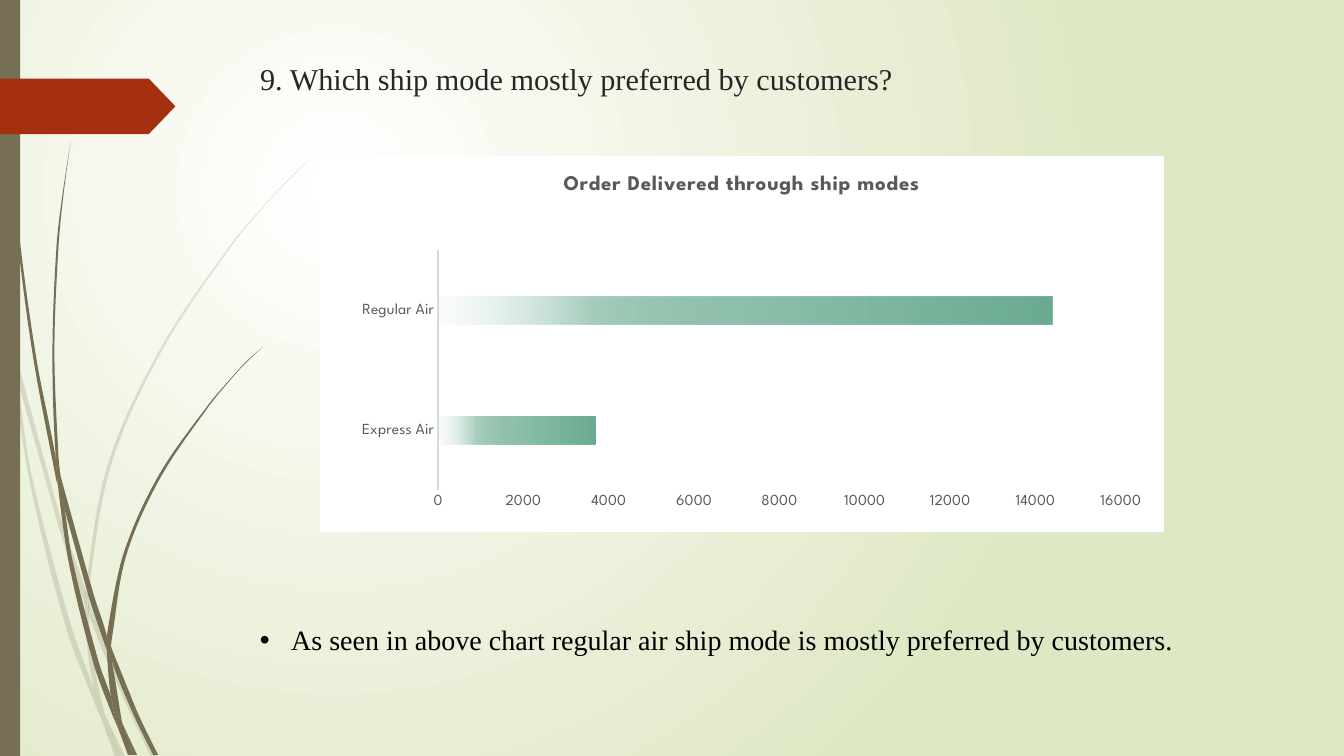
from math import cos, hypot, radians
from lxml import etree
from pptx import Presentation
from pptx.chart.data import CategoryChartData
from pptx.dml.color import RGBColor
from pptx.enum import chart as charts, shapes, text
from pptx.oxml import parse_xml
from pptx.oxml.ns import nsdecls, qn
from pptx.util import Inches, Pt

COLORS = {"olive": "766F54", "red": "A53010", "title": "262626", "black": "000000",
          "white": "FFFFFF", "sage": "DFE8C4", "label": "595959", "axis": "D9D9D9",
          "green": "6AAC91", "light": "A6CDBD", "pale": "E1EEE9"}
SERIF, SANS = "Times New Roman", "League Spartan"

# Outline knots of the grass pieces, in inches
BACK_GRASS = [
    [(.11, 3.5), (.09, 3.22), (0, 2.82), (0, 2.99), (.1, 3.44)],
    [(.58, 5.22), (.84, 5.99), (.85, 5.86), (.62, 5.2), (.14, 3.45), (.17, 3.76)],
    [(.92, 6.07), (.88, 5.96), (.88, 6.1), (1.23, 6.94), (1.5, 7.51), (1.55, 7.51), (1.27, 6.92)],
    [(1.19, 7.51), (1.24, 7.51), (1.05, 7.11)],
    [(.93, 6.83), (.7, 6.19), (.31, 4.69), (.17, 3.76), (.11, 3.5), (.28, 4.7), (.65, 6.21),
     (.92, 6.93), (1.01, 7.14), (.99, 7.07)],
    [(.84, 5.99), (.87, 6.46), (.93, 6.83), (.96, 6.92), (1.05, 7.11), (1.03, 7.06), (.91, 6.46),
     (.88, 6.1), (.88, 6.08)],
    [(.88, 5.84), (1.1, 4.62), (1.6, 3.49), (2.29, 2.45), (2.68, 1.98), (2.9, 1.75), (3.12, 1.53),
     (2.89, 1.75), (2.68, 1.97), (2.28, 2.44), (1.58, 3.48), (1.07, 4.61), (.85, 5.84), (.88, 5.96)],
    [(1.01, 7.14), (1.14, 7.51), (1.19, 7.51)],
    [(.88, 6.08), (.88, 5.96), (.85, 5.86), (.84, 5.99)],
    [(.96, 6.92), (.93, 6.83), (.99, 7.07), (1.01, 7.14), (1.19, 7.51), (1.05, 7.11)],
]
FRONT_GRASS = [
    [(.07, 1.1), (.17, 2.33), (.33, 3.55), (.56, 4.77), (.57, 4.81), (.55, 4.53), (.36, 3.55),
     (.19, 2.32), (.08, 1.09), (.05, .48), (.04, 0), (.03, 0), (.04, .48)],
    [(.88, 5.92), (1.06, 6.45), (1.06, 6.31), (.93, 5.9), (.6, 4.72), (.64, 5.05)],
    [(1.13, 6.49), (1.1, 6.41), (1.11, 6.56), (1.32, 7.08), (1.52, 7.49), (1.57, 7.49), (1.36, 7.06)],
    [(1.1, 6.91), (.98, 6.57), (.72, 5.56), (.64, 5.05), (.57, 4.77), (.68, 5.57), (.93, 6.59),
     (1.11, 7.08), (1.17, 7.22), (1.16, 7.17)],
    [(.6, 4.72), (.58, 4.53), (.54, 3.49), (.58, 2.45), (.63, 1.93), (.7, 1.41), (.62, 1.93),
     (.56, 2.45), (.52, 3.49), (.55, 4.49)],
    [(1.33, 7.49), (1.36, 7.49), (1.22, 7.19)],
    [(.57, 4.77), (.64, 5.05), (.6, 4.72), (.55, 4.49), (.55, 4.53)],
    [(1.11, 6.33), (1.25, 5.52), (1.58, 4.76), (2.05, 4.06), (2.31, 3.74), (2.45, 3.59), (2.61, 3.44),
     (2.45, 3.58), (2.31, 3.73), (2.04, 4.05), (1.56, 4.74), (1.22, 5.51), (1.06, 6.31), (1.1, 6.41)],
    [(1.17, 7.22), (1.27, 7.49), (1.31, 7.49)],
    [(1.06, 6.45), (1.1, 6.91), (1.16, 7.06), (1.22, 7.19), (1.21, 7.16), (1.11, 6.56), (1.09, 6.51)],
    [(1.06, 6.45), (1.09, 6.51), (1.11, 6.56), (1.1, 6.41), (1.06, 6.31)],
    [(1.16, 7.06), (1.1, 6.91), (1.16, 7.17), (1.17, 7.22), (1.3, 7.49), (1.33, 7.49), (1.22, 7.19)],
]


def rgb(name):
    return RGBColor.from_string(COLORS[name])


def style_font(font, size, color, family, bold=False):
    font.size, font.name, font.bold = Pt(size), family, bold
    font.color.rgb = rgb(color)


def set_alpha(color_element, percent):
    etree.SubElement(color_element, qn("a:alpha")).set("val", str(percent * 1000))


def paint_gradient(owner, stops, shade):
    """Replace the owner's solid fill by stops of (position, color, opacity)."""
    gradient = parse_xml(f'<a:gradFill {nsdecls("a")} rotWithShape="1"><a:gsLst/>{shade}</a:gradFill>')
    for position, color, opacity in stops:
        stop = etree.SubElement(gradient[0], qn("a:gs"), pos=str(position * 1000))
        set_alpha(etree.SubElement(stop, qn("a:srgbClr"), val=COLORS[color]), opacity)
    owner.replace(owner.find(qn("a:solidFill")), gradient)


def paint_shape(shape, color, opacity=100):
    shape.shadow.inherit = False
    shape.fill.solid()
    shape.fill.fore_color.rgb = rgb(color)
    shape.line.fill.background()
    if opacity < 100:
        set_alpha(shape._element.spPr.find(qn("a:solidFill"))[0], opacity)


def tangent(before, knot, after):
    """Unit direction through a knot, or none where the outline has a corner."""
    (ax, ay), (bx, by) = [(q[0] - p[0], q[1] - p[1]) for p, q in ((before, knot), (knot, after))]
    if ax * bx + ay * by < cos(radians(30)) * hypot(ax, ay) * hypot(bx, by):
        return 0, 0
    span = hypot(ax + bx, ay + by)
    return (ax + bx) / span, (ay + by) / span


def add_grass(page, knots, opacity):
    points = [(Inches(x), Inches(y)) for x, y in knots]
    builder = page.shapes.build_freeform(*points[0])
    builder.add_line_segments(points[1:], close=True)
    piece = builder.convert_to_shape()
    paint_shape(piece, "olive", opacity)

    # Bend the sides between the corners
    count = len(points)
    slopes = [tangent(points[i - 1], points[i], points[(i + 1) % count]) for i in range(count)]
    for i, line in enumerate(list(piece._element.iter(qn("a:lnTo")))[:count]):
        start, end = points[i], points[(i + 1) % count]
        reach = hypot(end[0] - start[0], end[1] - start[1]) / 3
        controls = [tuple(p + sign * reach * s for p, s in zip(point, slope)) for point, slope, sign
                    in ((start, slopes[i], 1), (end, slopes[(i + 1) % count], -1))]
        line.tag = qn("a:cubicBezTo")
        for place, (x, y) in enumerate(controls):
            line.insert(place, etree.Element(qn("a:pt"), x=str(int(x - piece.left)), y=str(int(y - piece.top))))


def add_block(page, kind, left, top, width, height, color):
    block = page.shapes.add_shape(kind, Inches(left), Inches(top), Inches(width), Inches(height))
    paint_shape(block, color)
    return block


def set_title(page, words):
    title = page.shapes.title
    title.left, title.top, title.width, title.height = map(Inches, (2.48, .55, 9.75, .8))
    frame = title.text_frame
    frame.text = words
    frame.vertical_anchor = text.MSO_ANCHOR.TOP
    frame.paragraphs[0].alignment = text.PP_ALIGN.LEFT
    style_font(frame.paragraphs[0].runs[0].font, 21.6, "title", SERIF)


def add_bullet(page, words):
    box = page.shapes.add_textbox(Inches(2.48), Inches(6.13), Inches(9.32), Inches(.44))
    box.text_frame.word_wrap = False
    box.text_frame.text = words
    para = box.text_frame.paragraphs[0]
    style_font(para.runs[0].font, 20, "black", SERIF)
    properties = para._p.get_or_add_pPr()
    properties.set("marL", str(Inches(.31)))
    properties.set("indent", str(-Inches(.31)))
    etree.SubElement(properties, qn("a:buFont"), typeface="Arial")
    etree.SubElement(properties, qn("a:buChar"), char="•")


def style_axis(axis):
    axis.has_major_gridlines = False
    axis.major_tick_mark = axis.minor_tick_mark = charts.XL_TICK_MARK.NONE
    style_font(axis.tick_labels.font, 11, "label", SANS)


def add_ship_chart(page):
    data = CategoryChartData()
    data.categories = ["Express Air", "Regular Air"]
    data.add_series("Series 1", [3700, 14400])
    chart = page.shapes.add_chart(charts.XL_CHART_TYPE.BAR_CLUSTERED, Inches(3.17), Inches(1.55),
                                  Inches(8.37), Inches(3.73), data).chart
    style_font(chart.font, 10, "black", SANS)
    chart.has_legend = False
    chart.has_title = True
    chart.chart_title.text_frame.text = "Order Delivered through ship modes"
    span = chart.chart_title.text_frame.paragraphs[0].runs[0]
    style_font(span.font, 15, "label", SANS, bold=True)
    span._r.get_or_add_rPr().set("spc", "50")
    # Axes
    style_axis(chart.category_axis)
    line = chart.category_axis.format.line
    line.color.rgb, line.width = rgb("axis"), Pt(1.5)
    style_axis(chart.value_axis)
    chart.value_axis.format.line.fill.background()
    chart.value_axis.maximum_scale, chart.value_axis.major_unit = 16000, 2000
    # Bars
    plot = chart.plots[0]
    plot.gap_width, plot.overlap, plot.vary_by_categories = 326, -58, False
    plot.series[0].format.fill.solid()
    paint_gradient(plot.series[0]._element.spPr,
                   [(0, "green", 100), (51, "green", 75), (75, "light", 100), (100, "pale", 15)],
                   '<a:lin ang="10800000" scaled="0"/>')
    # White panel and plot area
    white = f'<a:solidFill><a:srgbClr val="{COLORS["white"]}"/></a:solidFill>'
    body = chart._chartSpace.find(qn("c:chart"))
    body.addnext(parse_xml(f'<c:spPr {nsdecls("c", "a")}>{white}<a:ln w="{Pt(.75)}">{white}</a:ln></c:spPr>'))
    area = body.find(qn("c:plotArea"))
    for previous in area.findall(qn("c:layout")):
        area.remove(previous)
    settings = {"layoutTarget": "inner", "xMode": "edge", "yMode": "edge", "x": .14, "y": .25, "w": .81, "h": .64}
    inner = "".join(f'<c:{tag} val="{value}"/>' for tag, value in settings.items())
    area.insert(0, parse_xml(f'<c:layout {nsdecls("c")}><c:manualLayout>{inner}</c:manualLayout></c:layout>'))


def main():
    deck = Presentation()
    deck.slide_width, deck.slide_height = Inches(13.33), Inches(7.5)
    page = deck.slides.add_slide(deck.slide_layouts[5])
    # Background
    page.background.fill.solid()
    paint_gradient(page._element.cSld.bg.bgPr, [(0, "white", 100), (100, "sage", 100)],
                   '<a:path path="circle"><a:fillToRect l="50000" t="50000" r="100000" b="100000"/></a:path>')
    # Grass, side bar and arrow
    for pieces, opacity in ((BACK_GRASS, 20), (FRONT_GRASS, 100)):
        for knots in pieces:
            add_grass(page, knots, opacity)
    add_block(page, shapes.MSO_SHAPE.RECTANGLE, 0, 0, .2, 7.5, "olive")
    add_block(page, shapes.MSO_SHAPE.PENTAGON, 0, .78, 1.74, .55, "red").adjustments[0] = .48
    # Content
    set_title(page, "9. Which ship mode mostly preferred by customers?")
    add_ship_chart(page)
    add_bullet(page, "As seen in above chart regular air ship mode is mostly preferred by customers.")
    deck.save("out.pptx")


main()
